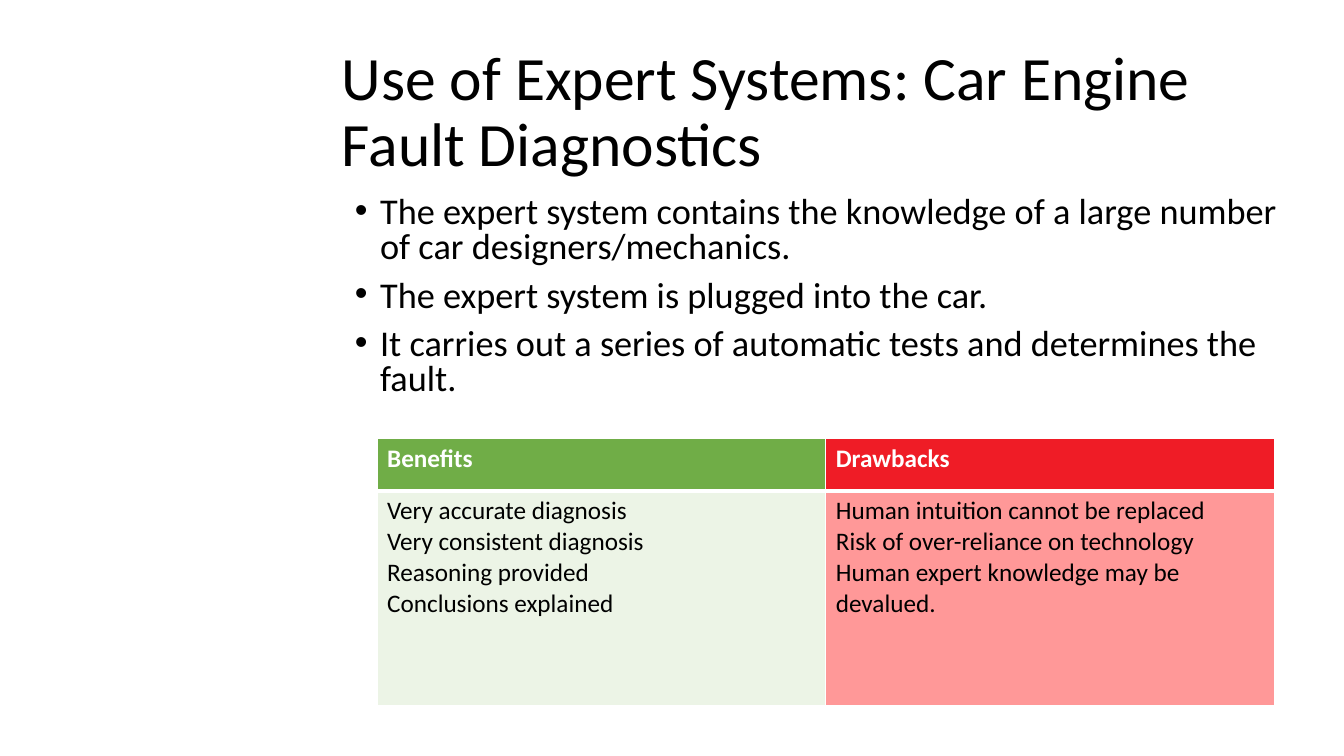
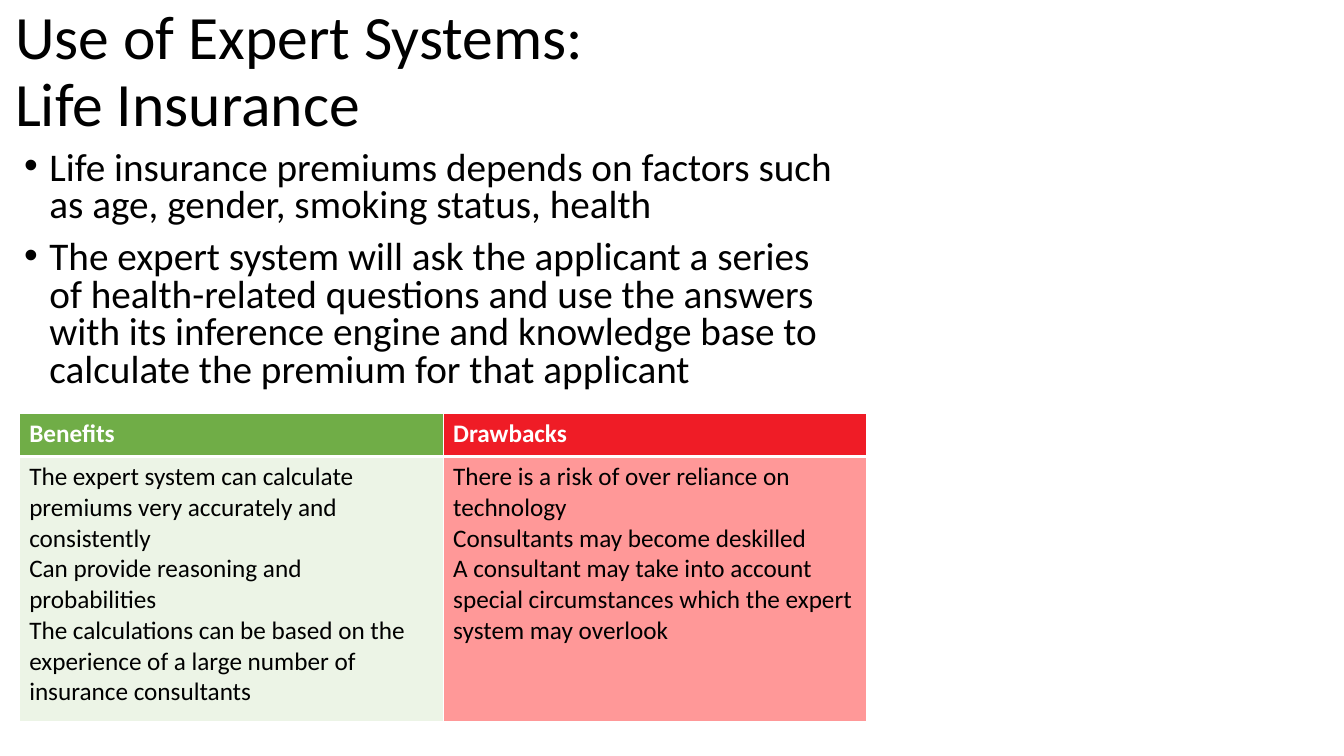
import lxml.etree
import pptx
import pptx.dml.color
import pptx.enum.text
import pptx.oxml.ns
import pptx.util

Inches = pptx.util.Inches
qn = pptx.oxml.ns.qn


def rgb(color):
    return pptx.dml.color.RGBColor.from_string(color)


def write(tf, paragraphs, size=18, color="000000", bold=False, font="Calibri",
          line_spacing=1.0, space_before=0, hanging=0):
    """Fill a text frame; hanging is the bullet indent in inches."""
    if isinstance(paragraphs, str):
        paragraphs = [paragraphs]
    tf.word_wrap = True
    for i, text in enumerate(paragraphs):
        p = tf.paragraphs[0] if i == 0 else tf.add_paragraph()
        if hanging:
            pPr = p._p.get_or_add_pPr()
            pPr.set("marL", str(Inches(hanging)))
            pPr.set("indent", str(-Inches(hanging)))
        p.alignment = pptx.enum.text.PP_ALIGN.LEFT
        p.line_spacing = line_spacing
        p.space_before = pptx.util.Pt(space_before if i else 0)
        r = p.add_run()
        r.text = text
        r.font.name = font
        r.font.size = pptx.util.Pt(size)
        r.font.bold = bold
        r.font.color.rgb = rgb(color)


def place(sp, left, top, width, height):
    sp.left, sp.top = Inches(left), Inches(top)
    sp.width, sp.height = Inches(width), Inches(height)


def set_borders(cell, color, widths):
    """Draw cell edges; widths maps L, R, T and B to points. Call before filling."""
    tcPr = cell._tc.get_or_add_tcPr()
    for side, width in widths.items():
        ln = lxml.etree.SubElement(tcPr, qn(f"a:ln{side}"), w=str(pptx.util.Pt(width)))
        fill = lxml.etree.SubElement(ln, qn("a:solidFill"))
        lxml.etree.SubElement(fill, qn("a:srgbClr"), val=color)


def set_fill(cell, color, opacity=100):
    cell.fill.solid()
    cell.fill.fore_color.rgb = rgb(color)
    if opacity < 100:
        clr = cell._tc.tcPr.find(qn("a:solidFill")).find(qn("a:srgbClr"))
        lxml.etree.SubElement(clr, qn("a:alpha"), val=str(opacity * 1000))


class Deck:
    WHITE = "FFFFFF"
    HEADINGS = [("Benefits", "70AD47"), ("Drawbacks", "EF1C26")]
    BODY_FILLS = ["E4F0DC", "FF6D6D"]
    BODY_OPACITY = 70
    THIN, THICK = 1, 3

    def __init__(self):
        self.prs = pptx.Presentation()
        self.prs.slide_width = Inches(13.33)
        self.prs.slide_height = Inches(7.5)
        self.s = None

    def add_slide(self):
        self.s = self.prs.slides.add_slide(self.prs.slide_layouts[1])

    def title(self, text, box):
        sp = self.s.shapes.title
        place(sp, *box)
        sp.text_frame.auto_size = pptx.enum.text.MSO_AUTO_SIZE.NONE
        sp.text_frame.vertical_anchor = pptx.enum.text.MSO_ANCHOR.MIDDLE
        write(sp.text_frame, text, size=44, line_spacing=0.9)

    def bullets(self, items, box, size):
        sp = self.s.placeholders[1]
        place(sp, *box)
        sp.text_frame.auto_size = pptx.enum.text.MSO_AUTO_SIZE.NONE
        write(sp.text_frame, items, size=size, line_spacing=0.8,
              space_before=10, hanging=0.25)

    def comparison(self, benefits, drawbacks, box, header_height):
        left, top, width, height = map(Inches, box)
        table = self.s.shapes.add_table(2, 2, left, top, width, height).table
        table.horz_banding = False
        table.rows[0].height = Inches(header_height)
        table.rows[1].height = height - Inches(header_height)
        sides = {"L": self.THIN, "R": self.THIN}
        for col, items in enumerate([benefits, drawbacks]):
            heading, color = self.HEADINGS[col]
            cell = table.cell(0, col)
            set_borders(cell, self.WHITE, {**sides, "T": self.THIN, "B": self.THICK})
            set_fill(cell, color)
            write(cell.text_frame, heading, color=self.WHITE, bold=True)
            cell = table.cell(1, col)
            set_borders(cell, self.WHITE, {**sides, "T": self.THICK, "B": self.THIN})
            set_fill(cell, self.BODY_FILLS[col], self.BODY_OPACITY)
            write(cell.text_frame, items)


def main():
    deck = Deck()

    deck.add_slide()
    deck.title("Use of Expert Systems: Car Engine Fault Diagnostics", (3.29, 0.4, 9.8, 1.45))
    deck.bullets([
        "The expert system contains the knowledge of a large number of car designers/mechanics.",
        "The expert system is plugged into the car.",
        "It carries out a series of automatic tests and determines the fault.",
    ], (3.42, 1.9, 9.67, 2.25), size=25.9)
    deck.comparison(
        ["Very accurate diagnosis", "Very consistent diagnosis",
         "Reasoning provided", "Conclusions explained"],
        ["Human intuition cannot be replaced", "Risk of over-reliance on technology",
         "Human expert knowledge may be devalued."],
        (3.74, 4.35, 8.9, 2.65), header_height=0.52)

    deck.add_slide()
    deck.title("Use of Expert Systems: Life Insurance", (0.05, 0, 6.62, 1.45))
    deck.bullets([
        "Life insurance premiums depends on factors such as age, gender, smoking status, health",
        "The expert system will ask the applicant a series of health-related questions and use "
        "the answers with its inference engine and knowledge base to calculate the premium "
        "for that applicant",
    ], (0.14, 1.45, 8.31, 2.57), size=28)
    deck.comparison(
        ["The expert system can calculate premiums very accurately and consistently",
         "Can provide reasoning and probabilities",
         "The calculations can be based on the experience of a large number of "
         "insurance consultants"],
        ["There is a risk of over reliance on technology",
         "Consultants may become deskilled",
         "A consultant may take into account special circumstances which the expert "
         "system may overlook"],
        (0.19, 4.1, 8.41, 3.06), header_height=0.43)

    deck.prs.save("out.pptx")


if __name__ == "__main__":
    main()
